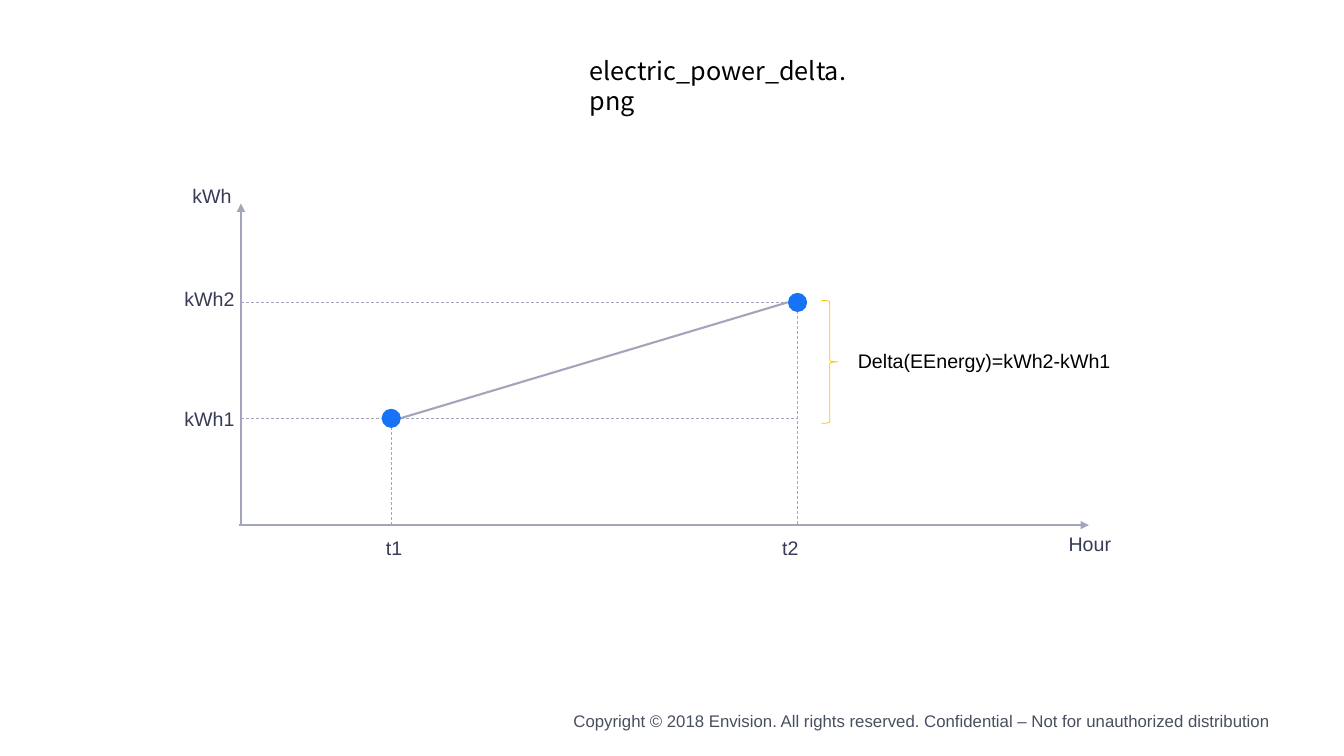
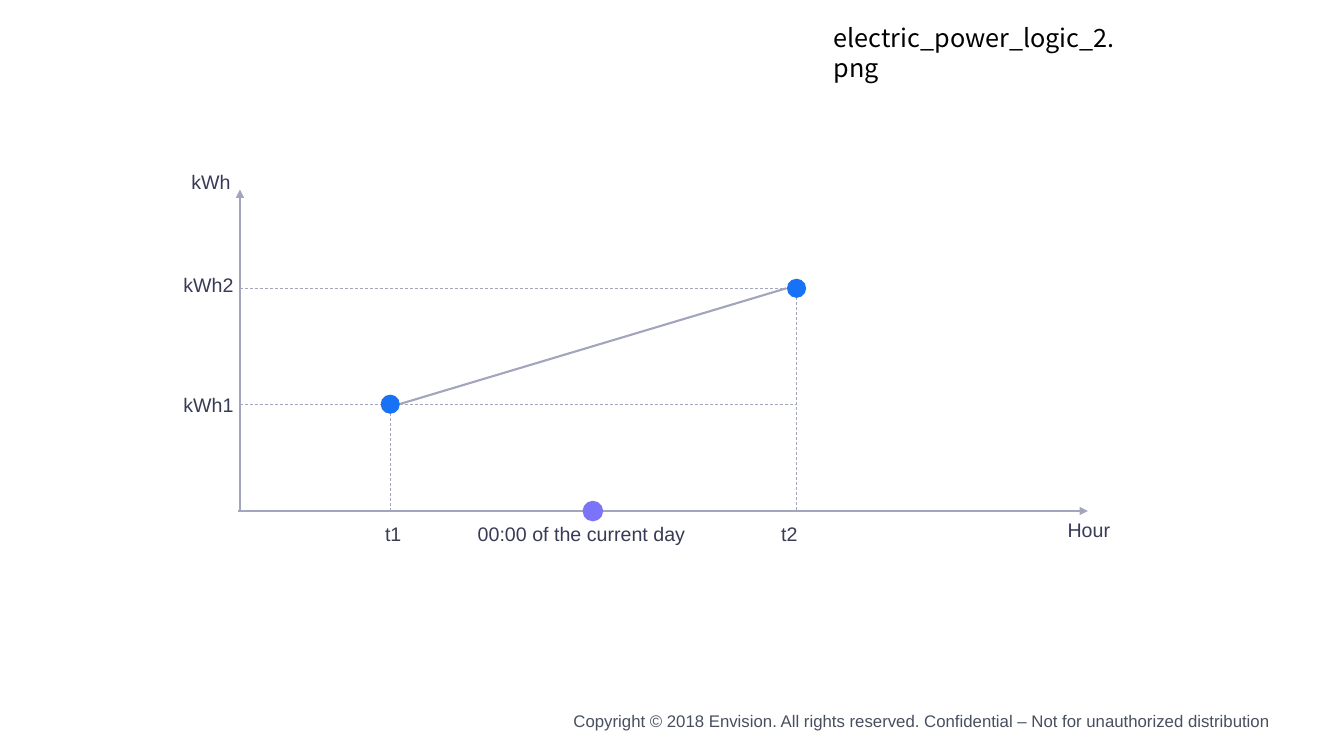
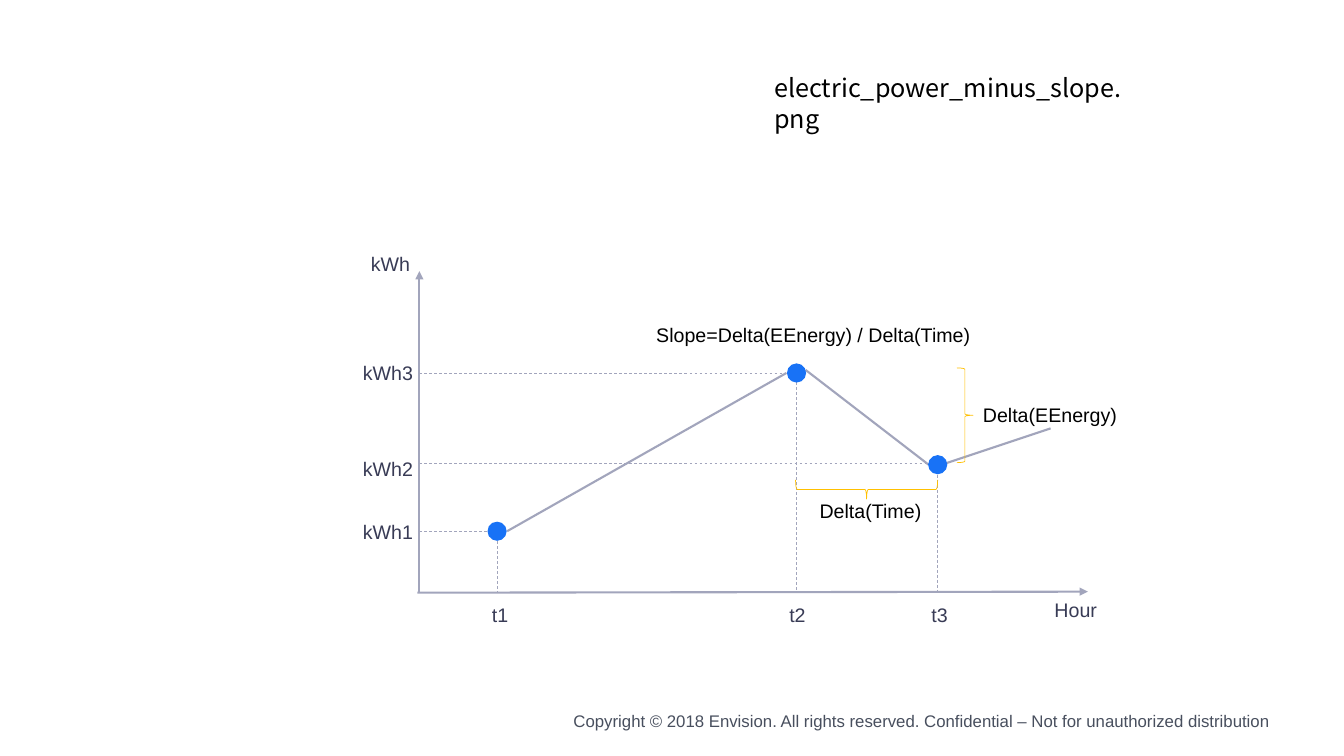
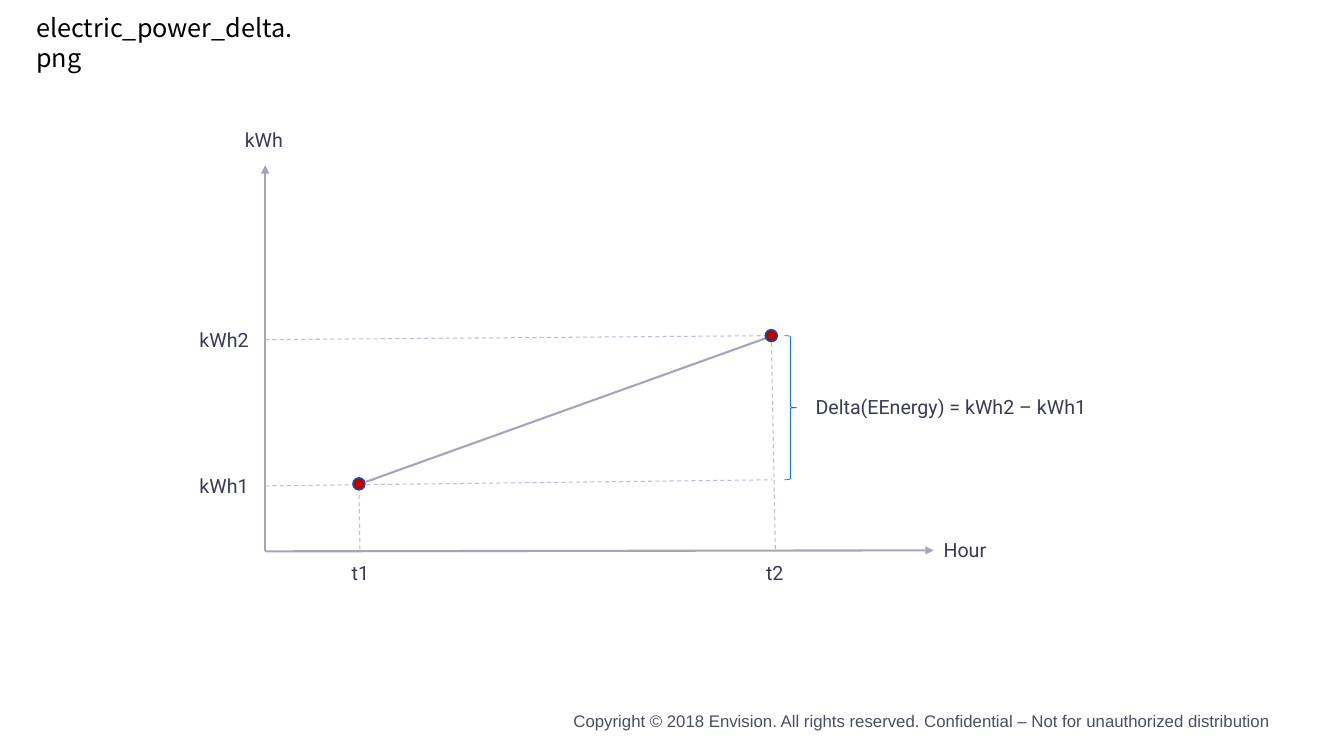
from lxml import etree
from pptx import Presentation
from pptx.dml.color import RGBColor
from pptx.enum.dml import MSO_LINE
from pptx.enum.shapes import MSO_CONNECTOR, MSO_SHAPE
from pptx.enum.text import MSO_ANCHOR, MSO_AUTO_SIZE, PP_ALIGN
from pptx.oxml.ns import qn
from pptx.util import Inches, Pt

BLACK = RGBColor(0x00, 0x00, 0x00)
INK = RGBColor(0x38, 0x3B, 0x55)
FOOTER_GREY = RGBColor(0x48, 0x4F, 0x5E)
AXIS_GREY = RGBColor(0xA2, 0xA5, 0xBC)
PALE_GREY = RGBColor(0xBC, 0xBD, 0xD1)
BLUE = RGBColor(0x18, 0x72, 0xF6)
BRACE_BLUE = RGBColor(0x08, 0x6F, 0xF9)
DARK_BLUE = RGBColor(0x06, 0x52, 0xB8)
VIOLET = RGBColor(0x7C, 0x74, 0xF8)
RED = RGBColor(0xC0, 0x00, 0x00)
AMBER = RGBColor(0xFF, 0xC0, 0x00)

TITLE_FONT = {"name": "Noto Sans CJK SC", "size": Pt(18)}
FOOTER = ("Copyright © 2018 Envision. All rights reserved. "
          "Confidential – Not for unauthorized distribution")
LABEL_HEIGHT = 0.34

# Lines are (x1, y1, x2, y2); labels are (text, left, top, width);
# dots are (centre x, centre y); braces are (shape, left, top, width, height, rotation).
RISE = {
    "font": "Arial",
    "axes": [(2.37, 5.21, 10.8, 5.21), (2.39, 5.21, 2.39, 2.02)],
    "guides": [(2.39, 4.15, 7.91, 4.15), (2.39, 3, 7.91, 3),
               (7.91, 3.09, 7.91, 5.21), (3.88, 4.24, 3.88, 5.21)],
    "guide_line": (AXIS_GREY, 0.5),
    "curve": [(3.97, 4.15, 7.81, 3)],
    "dots": [(3.88, 4.15), (7.91, 3)],
    "dot_size": 0.19,
    "dot_style": (BLUE, None),
    "labels": [("Hour", 10.5, 5.23, 1.13), ("t1", 3.73, 5.27, 0.48),
               ("t2", 7.66, 5.27, 0.48), ("kWh", 1.81, 1.78, 1.13),
               ("kWh2", 1.73, 2.8, 1.13), ("kWh1", 1.73, 3.99, 1.13)],
    "formulas": [],
    "formula_color": BLACK,
    "braces": [],
    "brace_color": AMBER,
    "midnight": [],
    "shift": (0, 0),
}

CHARTS = [
    RISE | {
        "title": ("electric_power_delta.png", 5.75, 0.5, 2.89),
        "formulas": [("Delta(EEnergy)=kWh2-kWh1", 8.41, 3.41, 2.8)],
        "braces": [(MSO_SHAPE.RIGHT_BRACE, 8.15, 2.98, 0.16, 1.22, 0)],
    },
    RISE | {
        "title": ("electric_power_logic_2.png", 8.17, 0.17, 3.1),
        "shift": (-0.01, -0.14),
        "labels": RISE["labels"] + [("00:00 of the current day", 4.65, 5.27, 2.4)],
        "midnight": [(5.89, 5.21)],
    },
    RISE | {
        "title": ("electric_power_minus_slope.png", 7.58, 0.67, 3.68),
        "axes": [(4.14, 5.88, 10.79, 5.87), (4.16, 5.87, 4.16, 2.69)],
        "guides": [(4.16, 5.27, 4.84, 5.27), (4.16, 3.7, 7.8, 3.7),
                   (4.16, 4.6, 9.3, 4.6), (4.93, 5.37, 4.93, 5.87),
                   (7.9, 3.79, 7.9, 5.87), (9.3, 4.71, 9.3, 5.88)],
        "curve": [(5.03, 5.27, 7.8, 3.7), (7.99, 3.67, 9.21, 4.61),
                  (9.37, 4.6, 10.42, 4.25)],
        "dots": [(4.93, 5.27), (7.9, 3.7), (9.3, 4.61)],
        "labels": [("Hour", 10.36, 5.88, 1.13), ("t1", 4.78, 5.93, 0.48),
                   ("t2", 7.73, 5.93, 0.48), ("t3", 9.14, 5.93, 0.48),
                   ("kWh", 3.58, 2.45, 1.13), ("kWh3", 3.5, 3.53, 1.13),
                   ("kWh2", 3.5, 4.48, 1.31), ("kWh1", 3.5, 5.11, 1.13)],
        "formulas": [("Slope=Delta(EEnergy) / Delta(Time)", 6.41, 3.15, 3.81),
                     ("Delta(EEnergy)", 9.65, 3.95, 1.6),
                     ("Delta(Time)", 8.03, 4.9, 1.3)],
        "braces": [(MSO_SHAPE.RIGHT_BRACE, 9.49, 3.65, 0.16, 0.94, 0),
                   (MSO_SHAPE.LEFT_BRACE, 8.5, 4.15, 0.19, 1.41, 270)],
    },
    RISE | {
        "title": ("electric_power_delta.png", 0.26, 0.07, 2.89),
        "font": "Roboto",
        "axes": [(2.63, 5.47, 9.26, 5.46), (2.63, 5.47, 2.63, 1.64)],
        "guides": [(2.63, 4.82, 7.66, 4.76), (2.63, 3.37, 7.66, 3.33),
                   (3.57, 5.45, 3.56, 4.8), (7.69, 5.45, 7.65, 3.33)],
        "guide_line": (PALE_GREY, 0.75),
        "curve": [(3.63, 4.78, 7.61, 3.35)],
        "dots": [(3.56, 4.8), (7.65, 3.33)],
        "dot_size": 0.12,
        "dot_style": (RED, DARK_BLUE),
        "labels": [("Hour", 9.26, 5.29, 1.13), ("t1", 3.39, 5.52, 1.13),
                   ("t2", 7.5, 5.52, 1.13), ("kWh", 2.33, 1.22, 1.13),
                   ("kWh2", 1.88, 3.2, 1.13), ("kWh1", 1.88, 4.65, 1.13)],
        "formulas": [("Delta(EEnergy) = kWh2 – kWh1", 7.99, 3.87, 3.71)],
        "formula_color": INK,
        "braces": [(MSO_SHAPE.RIGHT_BRACE, 7.78, 3.33, 0.12, 1.43, 0)],
        "brace_color": BRACE_BLUE,
    },
]


def write(sp, text, color, font, align=PP_ALIGN.LEFT):
    tf = sp.text_frame
    tf.word_wrap = True
    tf.auto_size = MSO_AUTO_SIZE.NONE
    tf.vertical_anchor = MSO_ANCHOR.TOP
    p = tf.paragraphs[0]
    p.alignment = align
    r = p.add_run()
    r.text = text
    r.font.color.rgb = color
    for name, value in font.items():
        setattr(r.font, name, value)


def add_line(s, ends, color, width, dashed=False, arrow=False):
    line = s.shapes.add_connector(MSO_CONNECTOR.STRAIGHT, *map(Inches, ends))
    line.line.color.rgb = color
    line.line.width = Pt(width)
    if dashed:
        line.line.dash_style = MSO_LINE.DASH
    if arrow:
        etree.SubElement(line.line._get_or_add_ln(), qn("a:tailEnd"), type="triangle")
    etree.SubElement(line.element.spPr, qn("a:effectLst"))


prs = Presentation()
prs.slide_width = Inches(13.33)
prs.slide_height = Inches(7.5)
layout = prs.slide_layouts[5]

for number, chart in enumerate(CHARTS):
    s = prs.slides.add_slide(layout)
    if number == 0:
        footer = s.shapes.add_textbox(Inches(4.87), Inches(7), Inches(7.83), Inches(0.3))
        write(footer, FOOTER, FOOTER_GREY, {"name": "Arial", "size": Pt(12)}, PP_ALIGN.RIGHT)
        layout.shapes.element.append(footer.element)  # shown by every slide

    text, left, top, width = chart["title"]
    title = s.shapes.title
    title.left, title.top = Inches(left), Inches(top)
    title.width, title.height = Inches(width), Inches(0.4)
    write(title, text, BLACK, TITLE_FONT)

    dx, dy = chart["shift"]
    for kind, (color, width), dashed, arrow in [
        ("axes", (AXIS_GREY, 1.5), False, True),
        ("guides", chart["guide_line"], True, False),
        ("curve", (AXIS_GREY, 1.5), False, False),
    ]:
        for x1, y1, x2, y2 in chart[kind]:
            add_line(s, (x1 + dx, y1 + dy, x2 + dx, y2 + dy), color, width, dashed, arrow)

    size = chart["dot_size"]
    for kind, (fill, outline) in [("dots", chart["dot_style"]), ("midnight", (VIOLET, VIOLET))]:
        for x, y in chart[kind]:
            dot = s.shapes.add_shape(MSO_SHAPE.OVAL, Inches(x + dx - size / 2),
                                     Inches(y + dy - size / 2), Inches(size), Inches(size))
            dot.shadow.inherit = False
            dot.fill.solid()
            dot.fill.fore_color.rgb = fill
            if outline is None:
                dot.line.fill.background()
            else:
                dot.line.color.rgb = outline
                dot.line.width = Pt(1)

    for shape, left, top, width, height, rotation in chart["braces"]:
        brace = s.shapes.add_shape(shape, Inches(left), Inches(top), Inches(width), Inches(height))
        brace.rotation = rotation
        brace.shadow.inherit = False
        brace.fill.background()
        brace.line.color.rgb = chart["brace_color"]
        brace.line.width = Pt(0.5)

    font = {"name": chart["font"], "size": Pt(14)}
    for kind, color in [("labels", INK), ("formulas", chart["formula_color"])]:
        for text, left, top, width in chart[kind]:
            label = s.shapes.add_textbox(Inches(left + dx), Inches(top + dy),
                                         Inches(width), Inches(LABEL_HEIGHT))
            write(label, text, color, font)

prs.save("out.pptx")
